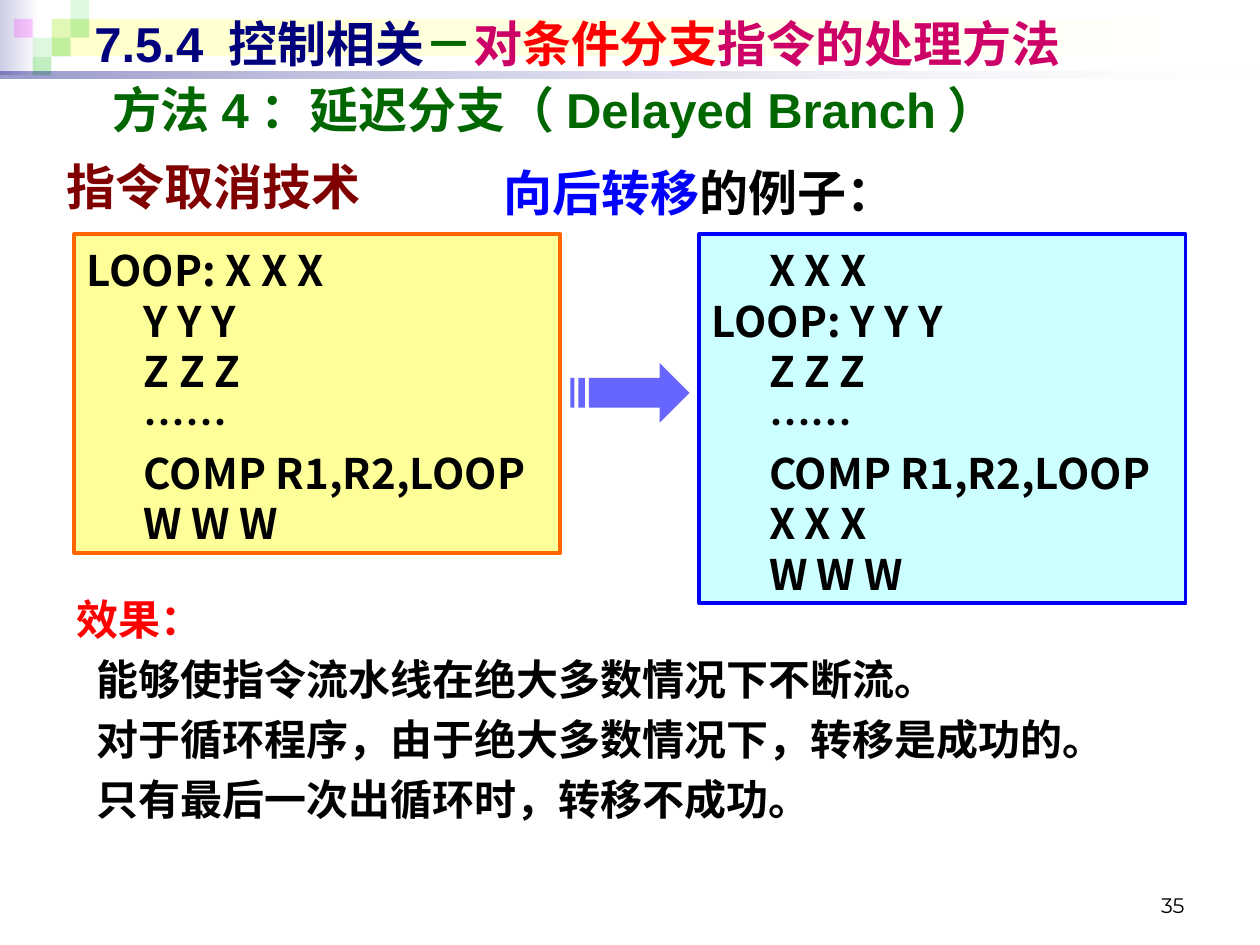
from lxml import etree
from pptx import Presentation
from pptx import util as u
from pptx.dml.color import RGBColor
from pptx.enum import shapes, text
from pptx.oxml.ns import qn

BLACK = RGBColor(0x00, 0x00, 0x00)
WHITE = RGBColor(0xFF, 0xFF, 0xFF)
NAVY = RGBColor(0x00, 0x00, 0x7D)
BLUE = RGBColor(0x00, 0x00, 0xFF)
RED = RGBColor(0xFF, 0x00, 0x00)
GREEN = RGBColor(0x00, 0x66, 0x00)
CRIMSON = RGBColor(0xCC, 0x00, 0x66)
MAROON = RGBColor(0x80, 0x00, 0x00)
ORANGE = RGBColor(0xFF, 0x66, 0x00)
YELLOW = RGBColor(0xFF, 0xFF, 0x99)
CYAN = RGBColor(0xCC, 0xFF, 0xFF)
CREAM = RGBColor(0xFF, 0xFF, 0xCC)
LAVENDER = RGBColor(0xCC, 0xCC, 0xE6)
PERIWINKLE = RGBColor(0x66, 0x66, 0xFF)
TILE_GREEN = RGBColor(0x33, 0xCC, 0x33)
TILE_PINK = RGBColor(0xFF, 0x00, 0xFF)

CJK = "Noto Sans CJK SC"
TILE = 0.38
TILES = [(2, 1, TILE_GREEN, 15), (3, 0, TILE_GREEN, 15), (3, 1, TILE_GREEN, 30),
         (1, 2, TILE_GREEN, 15), (0, 1, TILE_PINK, 20), (2, 2, TILE_GREEN, 30),
         (1, 3, TILE_GREEN, 30)]

LOOP_BEFORE = ["LOOP: X X X", "      Y Y Y", "      Z Z Z", "      ……",
               "      COMP R1,R2,LOOP", "      W W W"]
LOOP_AFTER = ["      X X X", "LOOP: Y Y Y", "      Z Z Z", "      ……",
              "      COMP R1,R2,LOOP", "      X X X", "      W W W"]
EFFECTS = ["能够使指令流水线在绝大多数情况下不断流。",
           "对于循环程序，由于绝大多数情况下，转移是成功的。",
           "只有最后一次出循环时，转移不成功。"]


def lengths(*values):
    return [u.Cm(value) for value in values]


def apply(target, values):
    for name, value in values.items():
        setattr(target, name, value)


def set_opacity(color_element, percent):
    etree.SubElement(color_element, qn("a:alpha"), val=str(percent * 1000))


def add_rect(slide, box, color=None):
    rect = slide.shapes.add_shape(shapes.MSO_SHAPE.RECTANGLE, *lengths(*box))
    rect.shadow.inherit = False
    rect.line.fill.background()
    if color is not None:
        rect.fill.solid()
        rect.fill.fore_color.rgb = color
    return rect


def add_tile(slide, column, row, color, opacity):
    tile = add_rect(slide, (0.28 + column * TILE, row * TILE, TILE, TILE), color)
    set_opacity(next(tile.element.spPr.iter(qn("a:srgbClr"))), opacity)


def add_band(slide, box, start, opacities=(100, 100)):
    band = add_rect(slide, box)
    band.fill.gradient()
    band.fill.gradient_angle = 0
    for stop, color in zip(band.fill.gradient_stops, (start, WHITE)):
        stop.color.rgb = color
    for color, opacity in zip(band.element.spPr.iter(qn("a:srgbClr")), opacities):
        if opacity < 100:
            set_opacity(color, opacity)


def write_runs(paragraph, parts, size, latin, bold=True):
    for wording, color in parts:
        run = paragraph.add_run()
        run.text = wording
        apply(run.font, {"size": u.Pt(size), "bold": bold, "name": latin})
        run.font.color.rgb = color
        if latin != "Montserrat":
            etree.SubElement(run.font._element, qn("a:ea"), typeface=CJK)


def write_lines(frame, lines, size, latin, paragraph_format, bold=True):
    for index, parts in enumerate(lines):
        paragraph = frame.paragraphs[0] if index == 0 else frame.add_paragraph()
        apply(paragraph, {"alignment": text.PP_ALIGN.LEFT, **paragraph_format})
        if index == 0:
            paragraph.space_before = u.Pt(0)
        write_runs(paragraph, parts, size, latin, bold)


def add_label(slide, box, lines, size, latin, anchor=text.MSO_ANCHOR.TOP,
              bold=True, **paragraph_format):
    frame = slide.shapes.add_textbox(*lengths(*box)).text_frame
    apply(frame, {"word_wrap": True, "vertical_anchor": anchor})
    write_lines(frame, lines, size, latin, paragraph_format, bold)
    return frame


def add_code(slide, box, code, background, border):
    panel = add_rect(slide, box, background)
    panel.line.color.rgb = border
    panel.line.width = u.Pt(2.25)
    apply(panel.text_frame, {"word_wrap": True, "margin_top": u.Cm(0.21),
                             "vertical_anchor": text.MSO_ANCHOR.TOP})
    write_lines(panel.text_frame, [[(line, BLACK)] for line in code], 24, CJK,
                {"line_spacing": u.Pt(28.9)})


def add_striped_arrow(slide, middle):
    top, bottom = middle - 0.3, middle + 0.3
    outlines = [[(left, top), (left, bottom), (right, bottom), (right, top)]
                for left, right in ((11.5, 11.58), (11.66, 11.79))]
    outlines.append([(11.87, top), (11.87, bottom), (13.3, bottom),
                     (13.3, middle + 0.6), (13.9, middle),
                     (13.3, middle - 0.6), (13.3, top)])
    builder = None
    for outline in outlines:
        start, *rest = [lengths(*point) for point in outline]
        if builder is None:
            builder = slide.shapes.build_freeform(*start)
        else:
            builder.move_to(*start)
        builder.add_line_segments(rest, close=True)
    arrow = builder.convert_to_shape()
    arrow.shadow.inherit = False
    arrow.fill.solid()
    arrow.fill.fore_color.rgb = PERIWINKLE
    arrow.line.fill.background()


def add_title(slide, box, parts):
    title = slide.shapes.title
    slide.shapes.element.append(title.element)
    apply(title, dict(zip(("left", "top", "width", "height"), lengths(*box))))
    apply(title.text_frame, {"word_wrap": True, "auto_size": text.MSO_AUTO_SIZE.NONE,
                             "vertical_anchor": text.MSO_ANCHOR.MIDDLE})
    write_lines(title.text_frame, [parts], 28, "Arial", {})


def main():
    deck = Presentation()
    apply(deck, {"slide_width": u.Cm(25.4), "slide_height": u.Cm(19.05)})
    slide = deck.slides.add_slide(deck.slide_layouts[5])

    add_band(slide, (0, 0, 0.78, 1.52), LAVENDER)
    add_band(slide, (1.04, 0.38, 24.26, 0.76), CREAM)
    for tile in TILES:
        add_tile(slide, *tile)
    add_band(slide, (0, 1.45, 25.4, 0.13), NAVY, (40, 10))

    add_label(slide, (18.21, 17.35, 5.92, 1.27), [[("35", BLACK)]], 12, "Montserrat",
              text.MSO_ANCHOR.BOTTOM, False, alignment=text.PP_ALIGN.RIGHT)
    add_title(slide, (1.65, 0.13, 22.86, 1.45),
              [("7.5.4 控制相关", NAVY), ("－", GREEN), ("对", CRIMSON),
               ("条件分支", RED), ("指令的处理方法", CRIMSON)])
    add_label(slide, (9.91, 2.92, 9.4, 1.6), [[("向后转移", BLUE), ("的例子：", BLACK)]],
              28, "Times New Roman", line_spacing=u.Pt(40))
    add_label(slide, (2.01, 1.47, 22.91, 1.45),
              [[("方法4：延迟分支（Delayed Branch）", GREEN)]],
              28, "Arial", text.MSO_ANCHOR.MIDDLE)
    add_label(slide, (1.09, 2.92, 23.6, 1.6), [[("指令取消技术", MAROON)]],
              28, CJK, line_spacing=u.Pt(36.5))

    add_code(slide, (1.5, 4.72, 9.8, 6.43), LOOP_BEFORE, YELLOW, ORANGE)
    add_code(slide, (14.1, 4.72, 9.8, 7.44), LOOP_AFTER, CYAN, BLUE)
    add_striped_arrow(slide, 7.92)

    effects = add_label(slide, (1.3, 11.73, 22, 5.03),
                        [[("效果：", RED)]] + [[(line, BLACK)] for line in EFFECTS],
                        24, CJK, line_spacing=u.Pt(32), space_before=u.Pt(2.2))
    for paragraph in effects.paragraphs[1:]:
        paragraph._p.get_or_add_pPr().set("marL", str(u.Cm(0.4)))

    deck.save("out.pptx")


if __name__ == "__main__":
    main()
